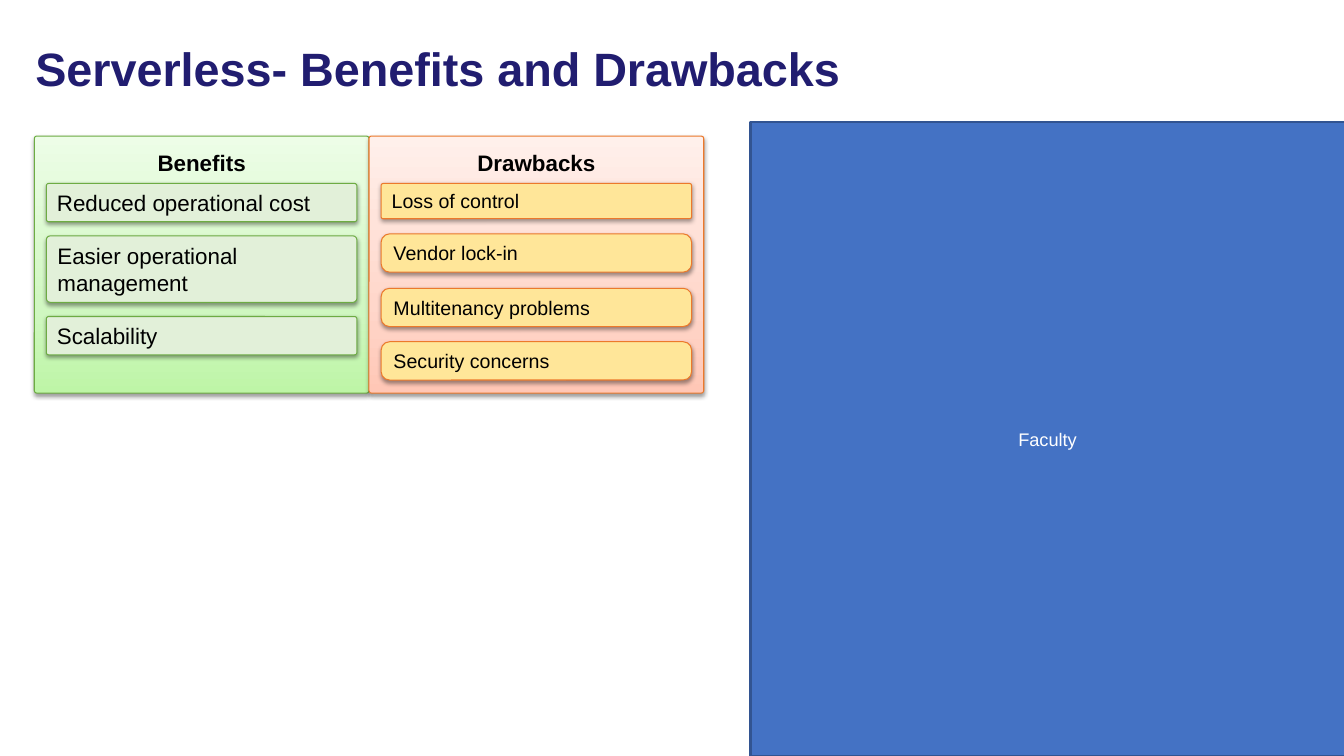
from copy import deepcopy
from dataclasses import dataclass
from lxml.etree import SubElement
from pptx import Presentation
from pptx.dml.color import RGBColor as RGB
from pptx.enum.shapes import MSO_SHAPE as Kind
from pptx.enum.text import MSO_ANCHOR as Anchor, PP_ALIGN as Align
from pptx.oxml.ns import qn
from pptx.util import Inches, Pt

# Content: item rows are (text, top, height, corner)
TITLE = "Serverless- Benefits and Drawbacks"
SIDE = "Faculty"
PANELS = [
    {
        "head": "Benefits", "look": "good", "inset": 0.1,
        "items": [
            ("Reduced operational cost", 1.82, 0.38, 0.06),
            ("Easier operational management", 2.34, 0.66, 0.06),
            ("Scalability", 3.14, 0.38, 0.06),
        ],
    },
    {
        "head": "Drawbacks", "look": "bad", "inset": 0.04,
        "items": [
            ("Loss of control", 1.82, 0.35, 0.06),
            ("Vendor lock-in", 2.32, 0.38, 0.22),
            ("Multitenancy problems", 2.86, 0.38, 0.22),
            ("Security concerns", 3.39, 0.38, 0.22),
        ],
    },
]


@dataclass(frozen=True)
class Look:
    grad: tuple
    fill: str
    line: str
    size: float


class Theme:
    font = "Arial"
    title, ink, white = "211D70", "000000", "FFFFFF"
    side, edge = "4472C4", "325491"
    title_size, head_size, side_size = 33.4, 16, 13
    good = Look(("BEF5A7", "D1F7C2", "EDFDE7"), "E2F0D9", "6DAC43", 16)
    bad = Look(("FFC7B6", "FFD7CB", "FFF0EB"), "FFE699", "EC792B", 14)


LEFT, TOP, WIDE, HIGH = 0.34, 1.35, 3.32, 2.55
PAD = 0.12


def write(shape, text, size, color, align, bold=False):
    frame = shape.text_frame
    frame.word_wrap = True
    frame.text = text
    para = frame.paragraphs[0]
    para.alignment = align
    font = para.font
    font.name, font.size, font.bold = Theme.font, Pt(size), bold
    font.color.rgb = RGB.from_string(color)
    return para


def add_box(parent, kind, place, line, width):
    shape = parent.add_shape(kind, *map(Inches, place))
    shape.shadow.inherit = False
    shape.line.color.rgb = RGB.from_string(line)
    shape.line.width = Pt(width)
    shape.text_frame.vertical_anchor = Anchor.MIDDLE
    return shape


def paint(shape, color):
    shape.fill.solid()
    shape.fill.fore_color.rgb = RGB.from_string(color)


def blend(shape, colors):
    fill = shape.fill
    fill.gradient()
    fill.gradient_angle = 90
    stops = shape._element.spPr.find(".//" + qn("a:gsLst"))
    stops.append(deepcopy(stops[-1]))
    for stop, color, spot in zip(fill.gradient_stops, colors, (0, 0.35, 1)):
        stop.color.rgb = RGB.from_string(color)
        stop.position = spot


def add_card(parent, place, look, corner):
    """Rounded box with a soft shadow straight below."""
    card = add_box(parent, Kind.ROUNDED_RECTANGLE, place, look.line, 0.75)
    card.adjustments[0] = corner
    effects = card._element.spPr.find(qn("a:effectLst"))
    shade = SubElement(effects, qn("a:outerShdw"), blurRad=str(Pt(3.1)),
                       dist=str(Pt(1.6)), dir="5400000", rotWithShape="0")
    tint = SubElement(shade, qn("a:srgbClr"), val=Theme.ink)
    SubElement(tint, qn("a:alpha"), val="38000")
    return card


def add_panel(parent, index, panel):
    look = getattr(Theme, panel["look"])
    left = LEFT + index * WIDE
    # Backing with its heading
    back = add_card(parent, (left, TOP, WIDE, HIGH), look, 0.01)
    blend(back, look.grad)
    frame = back.text_frame
    frame.vertical_anchor = Anchor.TOP
    frame.margin_left = frame.margin_right = Inches(panel["inset"])
    frame.margin_top = Inches(0.12)
    write(back, panel["head"], Theme.head_size, Theme.ink, Align.CENTER, True)
    # Items
    for text, top, high, corner in panel["items"]:
        place = (left + PAD, top, WIDE - 2 * PAD, high)
        card = add_card(parent, place, look, corner)
        paint(card, look.fill)
        write(card, text, look.size, Theme.ink, Align.LEFT)


def main():
    deck = Presentation()
    deck.slide_width, deck.slide_height = Inches(13.33), Inches(7.5)
    slide = deck.slides.add_slide(deck.slide_layouts[5])

    # Title
    title = slide.shapes.title
    title.left, title.top = Inches(0.25), Inches(0.25)
    title.width, title.height = Inches(11.81), Inches(0.91)
    title.text_frame.vertical_anchor = Anchor.MIDDLE
    para = write(title, TITLE, Theme.title_size, Theme.title, Align.LEFT, True)
    para.line_spacing = 0.9

    # Side block
    side = add_box(slide.shapes, Kind.RECTANGLE, (7.44, 1.21, 5.9, 6.29),
                   Theme.edge, 2)
    paint(side, Theme.side)
    write(side, SIDE, Theme.side_size, Theme.white, Align.CENTER)

    # Benefits and drawbacks
    group = slide.shapes.add_group_shape()
    for index, panel in enumerate(PANELS):
        add_panel(group.shapes, index, panel)

    deck.save("out.pptx")


if __name__ == "__main__":
    main()
